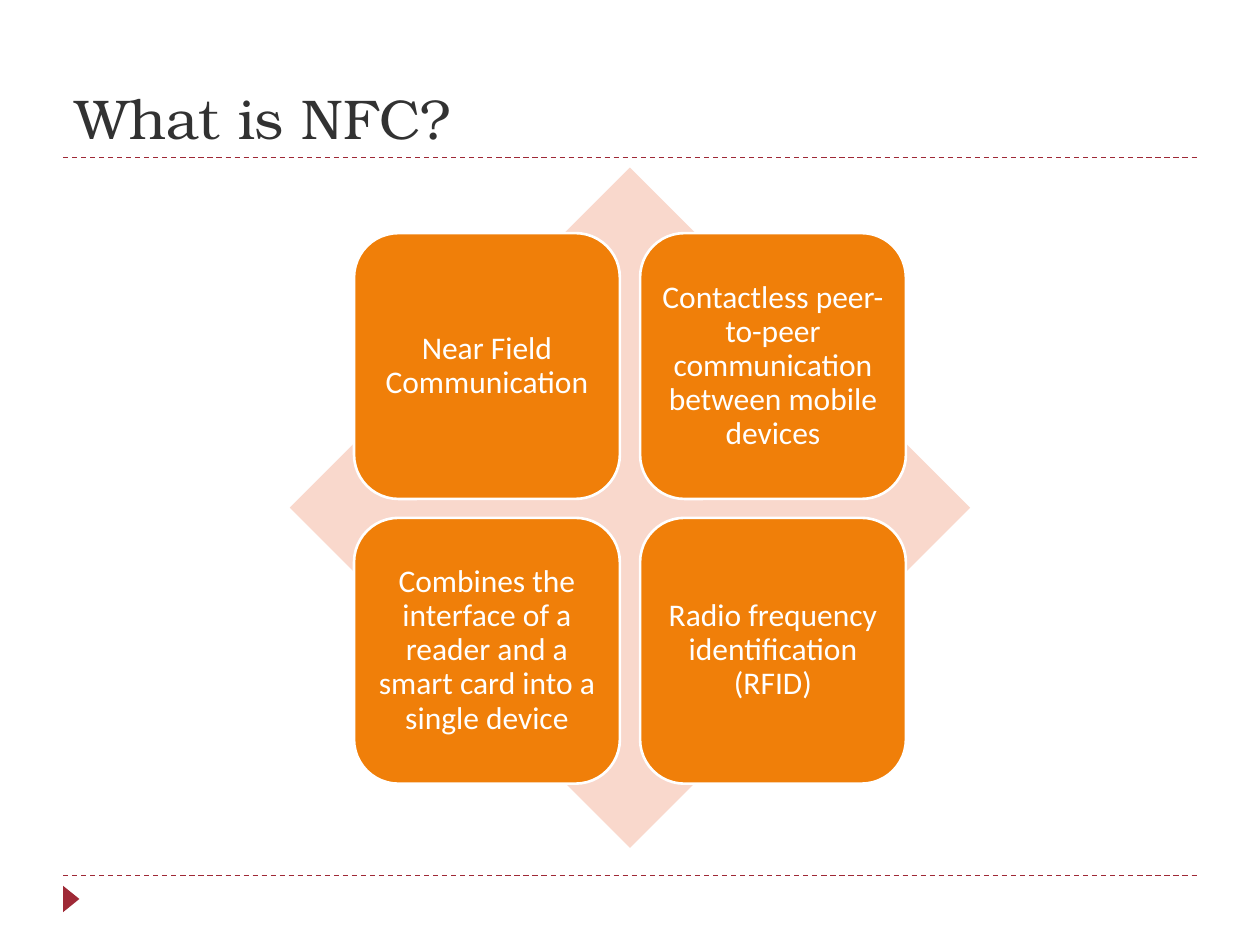
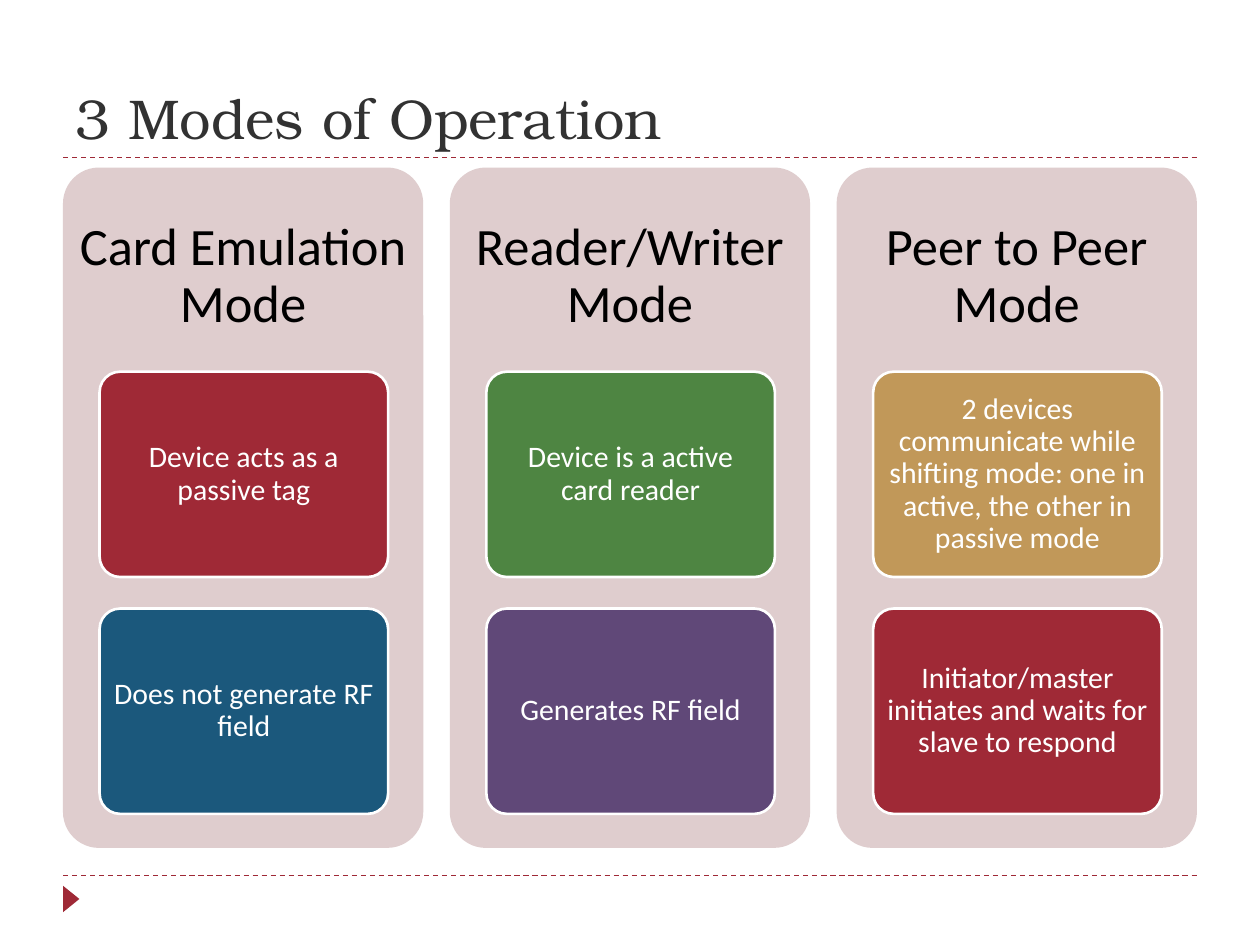
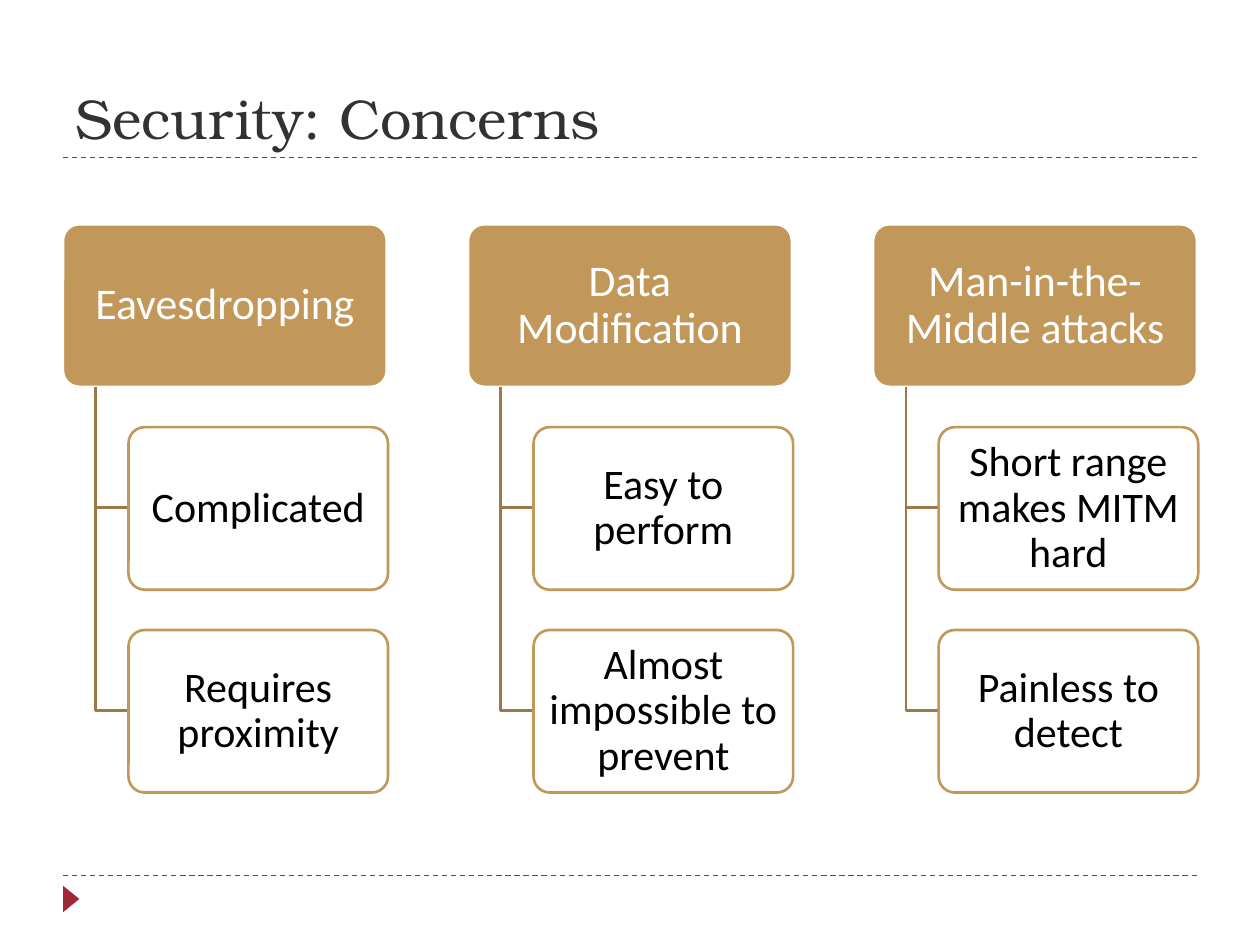
"""Build three slides on NFC: definition, modes of operation and security concerns."""
from lxml.etree import SubElement
from pptx import Presentation
from pptx.dml.color import RGBColor
from pptx.enum.dml import MSO_LINE
from pptx.enum.shapes import MSO_CONNECTOR, MSO_SHAPE as SHAPE
from pptx.enum.text import MSO_ANCHOR, PP_ALIGN
from pptx.oxml.ns import qn
from pptx.util import Inches, Pt

RED, BLUE, GREEN, PURPLE = "9F2936", "1B587C", "4E8542", "604878"
ORANGE, GOLD, BROWN = "F07F09", "C19859", "9B7A47"
PEACH, PINK, WHITE, BLACK, GREY = "F9D8CC", "DFCDCE", "FFFFFF", "000000", "323232"


def rgb(value):
    return RGBColor.from_string(value)


def add_box(s, kind, at, fill, line=None, text="", size=18, color=WHITE, adj=None,
            insets=(0.05, 0.04, 0.05, 0.04)):
    sp = s.shapes.add_shape(kind, *map(Inches, at))
    sp.shadow.inherit = False
    sp.fill.solid()
    sp.fill.fore_color.rgb = rgb(fill)
    if adj is not None:
        sp.adjustments[0] = adj
    if line:
        sp.line.color.rgb = rgb(line)
        sp.line.width = Pt(1.5)
    else:
        sp.line.fill.background()
    if text:
        tf = sp.text_frame
        tf.word_wrap = True
        tf.vertical_anchor = MSO_ANCHOR.MIDDLE
        tf.margin_left, tf.margin_top, tf.margin_right, tf.margin_bottom = map(Inches, insets)
        p = tf.paragraphs[0]
        p.text = text
        p.alignment = PP_ALIGN.CENTER
        p.line_spacing = 0.9
        p.font.size = Pt(size)
        p.font.name = "Calibri"
        p.font.color.rgb = rgb(color)
    return sp


prs = Presentation()
prs.slide_width, prs.slide_height = Inches(10), Inches(7.5)
layout = prs.slide_layouts[5]
for ph in list(layout.placeholders):
    if ph.placeholder_format.idx == 0:
        ph.left, ph.top, ph.width, ph.height = map(Inches, (0.5, 0.17, 9, 1.08))
    else:
        ph.element.getparent().remove(ph.element)

slides = []
for title in ("What is NFC?", "3 Modes of Operation", "Security: Concerns"):
    s = prs.slides.add_slide(layout)
    tf = s.shapes.title.text_frame
    tf.text = title
    tf.vertical_anchor = MSO_ANCHOR.BOTTOM
    p = tf.paragraphs[0]
    p.alignment = PP_ALIGN.LEFT
    p.font.size = Pt(32)
    p.font.name = "TeX Gyre Bonum"
    p.font.color.rgb = rgb(GREY)
    slides.append(s)
definition, modes, concerns = slides

frame = []
for y in (6.95, 1.25):
    rule = definition.shapes.add_connector(
        MSO_CONNECTOR.STRAIGHT, Inches(0.5), Inches(y), Inches(9.5), Inches(y))
    rule.line.color.rgb = rgb(RED)
    rule.line.width = Pt(0.75)
    rule.line.dash_style = MSO_LINE.DASH
    SubElement(rule.element.spPr, qn("a:effectLst"))
    frame.append(rule)
marker = add_box(definition, SHAPE.ISOSCELES_TRIANGLE, (0.46, 7.07, 0.21, 0.13), RED)
marker.rotation = 90
for sp in frame + [marker]:
    layout.shapes.element.append(sp.element)

add_box(definition, SHAPE.DIAMOND, (2.3, 1.33, 5.4, 5.4), PEACH)
facts = (
    "Near Field Communication",
    "Contactless peer-to-peer communication between mobile devices",
    "Combines the interface of a reader and a smart card into a single device",
    "Radio frequency identification (RFID)",
)
for i, fact in enumerate(facts):
    row, col = divmod(i, 2)
    add_box(definition, SHAPE.ROUNDED_RECTANGLE,
            (2.81 + 2.27 * col, 1.85 + 2.26 * row, 2.11, 2.11),
            ORANGE, WHITE, fact, insets=(0.07,) * 4)

mode_columns = (
    ("Card Emulation Mode", (("Device acts as a passive tag", RED),
                             ("Does not generate RF field", BLUE))),
    ("Reader/Writer Mode", (("Device is a active card reader", GREEN),
                            ("Generates RF field", PURPLE))),
    ("Peer to Peer Mode", (
        ("2 devices communicate while shifting mode: one in active, the other in passive mode", GOLD),
        ("Initiator/master initiates and waits for slave to respond", RED))),
)
for col, (mode, details) in enumerate(mode_columns):
    x = 0.5 + 3.07 * col
    add_box(modes, SHAPE.ROUNDED_RECTANGLE, (x, 1.33, 2.86, 5.4), PINK, None,
            mode, 30, BLACK, 0.1, (0.04, 0.04, 0.04, 3.7))
    for row, (detail, fill) in enumerate(details):
        add_box(modes, SHAPE.ROUNDED_RECTANGLE, (x + 0.29, 2.95 + 1.88 * row, 2.29, 1.63),
                fill, WHITE, detail, 17, adj=0.1)

concern_columns = (
    ("Eavesdropping", ("Complicated", "Requires proximity")),
    ("Data Modification", ("Easy to perform", "Almost impossible to prevent")),
    ("Man-in-the-Middle attacks", ("Short range makes MITM hard", "Painless to detect")),
)
for col, (concern, remarks) in enumerate(concern_columns):
    x = 0.5 + 3.215 * col
    add_box(concerns, SHAPE.ROUNDED_RECTANGLE, (x, 1.78, 2.57, 1.29),
            GOLD, WHITE, concern, 25, adj=0.1)
    for row, remark in enumerate(remarks):
        y = 3.39 + 1.61 * row
        middle = y + 0.64
        branch = concerns.shapes.build_freeform(Inches(x + 0.26), Inches(3.07))
        branch.add_line_segments(
            [(Inches(x + 0.26), Inches(middle)), (Inches(x + 0.52), Inches(middle))], close=False)
        sp = branch.convert_to_shape()
        sp.shadow.inherit = False
        sp.fill.background()
        sp.line.color.rgb = rgb(BROWN)
        sp.line.width = Pt(1.5)
        add_box(concerns, SHAPE.ROUNDED_RECTANGLE, (x + 0.52, y, 2.06, 1.29),
                WHITE, GOLD, remark, 24, BLACK, 0.1)

prs.save("out.pptx")
